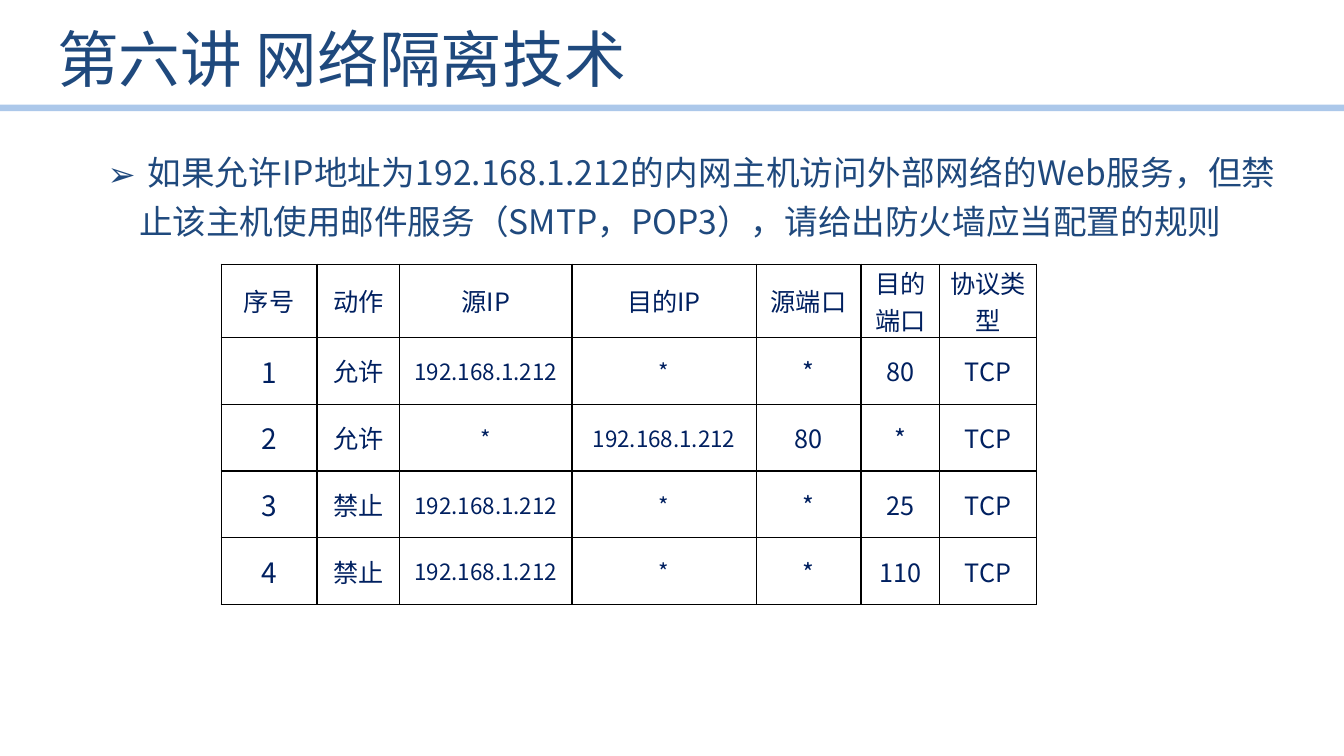
from dataclasses import dataclass

from lxml.etree import SubElement as Sub
from pptx import Presentation
from pptx.dml.color import RGBColor as Rgb
from pptx.enum.shapes import MSO_CONNECTOR as Link
from pptx.enum.text import MSO_ANCHOR as Anchor, PP_ALIGN as Align
from pptx.oxml.ns import qn
from pptx.util import Inches, Length, Pt


@dataclass(frozen=True)
class Theme:
    font: str = "Noto Sans CJK SC"
    ink: str = "1F497D"
    navy: str = "002060"
    rule: str = "8EB4E3"
    grid: str = "000000"
    title: int = 44
    body: int = 24
    head: int = 18
    rule_width: float = 4.75
    grid_width: float = 1


@dataclass(frozen=True)
class Box:
    """A place on the slide's grid of 100 columns by 100 rows."""
    left: float
    top: float
    width: float
    height: float


@dataclass(frozen=True)
class Field:
    """A table column: heading, width in grid columns, type size."""
    head: str
    width: float
    size: int


THEME = Theme()
WIDTH, HEIGHT = Inches(13.33), Inches(7.5)
TITLE = Box(3.53, 1.2, 82.67, 12.93)
BODY = Box(3.53, 18.13, 92.12, 67.6)
RULE_ROW = 14.27
TABLE_LEFT, TABLE_TOP = 16.45, 34.95
HEAD_ROW, DATA_ROW = 9.7, 8.83
FIELDS = [
    Field("序号", 7.13, 20),
    Field("动作", 6.15, 18),
    Field("源IP", 12.83, 16),
    Field("目的IP", 13.7, 16),
    Field("源端口", 7.8, 18),
    Field("目的端口", 5.85, 18),
    Field("协议类型", 7.2, 18),
]
HOST = "192.168.1.212"
RULES = [
    ("1", "允许", HOST, "*", "*", "80", "TCP"),
    ("2", "允许", "*", HOST, "80", "*", "TCP"),
    ("3", "禁止", HOST, "*", "*", "25", "TCP"),
    ("4", "禁止", HOST, "*", "*", "110", "TCP"),
]
TASK = (" 如果允许IP地址为192.168.1.212的内网主机访问外部网络的Web服务，"
        "但禁止该主机使用邮件服务（SMTP，POP3），请给出防火墙应当配置的规则")


def col(n: float) -> Length:
    return Length(round(WIDTH * n / 100))


def row(n: float) -> Length:
    return Length(round(HEIGHT * n / 100))


def write(frame, text: str, *, size: int, color: str, align=Align.LEFT,
          bullet: str = "", spacing: float = 1.0) -> None:
    para = frame.paragraphs[0]
    para.alignment = align
    para.line_spacing = spacing
    if bullet:
        props = para._p.get_or_add_pPr()
        props.set("marL", str(col(6.08)))
        props.set("indent", str(col(-2.33)))
        Sub(props, qn("a:buFont"), typeface=THEME.font)
        Sub(props, qn("a:buChar"), char=bullet)
    run = para.add_run()
    run.text = text
    run.font.size = Pt(size)
    run.font.color.rgb = Rgb.from_string(color)
    run.font.name = THEME.font
    Sub(run._r.get_or_add_rPr(), qn("a:ea"), typeface=THEME.font)


def add_box(slide, box: Box, anchor):
    shape = slide.shapes.add_textbox(col(box.left), row(box.top),
                                     col(box.width), row(box.height))
    frame = shape.text_frame
    frame.word_wrap = True
    frame.vertical_anchor = anchor
    return frame


def add_rule(slide) -> None:
    line = slide.shapes.add_connector(Link.STRAIGHT, 0, row(RULE_ROW),
                                      WIDTH, row(RULE_ROW))
    line.line.width = Pt(THEME.rule_width)
    line.line.color.rgb = Rgb.from_string(THEME.rule)
    tint = line.line._ln.find(".//" + qn("a:srgbClr"))
    Sub(tint, qn("a:alpha"), val="73000")
    Sub(line._element.spPr, qn("a:effectLst"))


def frame_cell(cell) -> None:
    """Draw the four borders of a cell and leave it without fill."""
    props = cell._tc.get_or_add_tcPr()
    for side in "LRTB":
        edge = Sub(props, qn(f"a:ln{side}"), w=str(Pt(THEME.grid_width)))
        Sub(Sub(edge, qn("a:solidFill")), qn("a:srgbClr"), val=THEME.grid)
    cell.fill.background()


def add_rules(slide) -> None:
    """Add the table of firewall rules."""
    heads = tuple(field.head for field in FIELDS)
    lines = [heads, *RULES]
    width = sum(field.width for field in FIELDS)
    height = HEAD_ROW + DATA_ROW * len(RULES)
    table = slide.shapes.add_table(
        len(lines), len(FIELDS), col(TABLE_LEFT), row(TABLE_TOP),
        col(width), row(height)).table
    table.first_row = table.horz_banding = False
    for c, field in enumerate(FIELDS):
        table.columns[c].width = col(field.width)
    for r, line in enumerate(lines):
        table.rows[r].height = row(DATA_ROW if r else HEAD_ROW)
        for c, text in enumerate(line):
            cell = table.cell(r, c)
            cell.margin_left = cell.margin_right = Inches(0.07)
            cell.margin_top = cell.margin_bottom = 0
            cell.vertical_anchor = Anchor.MIDDLE
            frame_cell(cell)
            write(cell.text_frame, text, color=THEME.navy,
                  size=FIELDS[c].size if r else THEME.head,
                  align=Align.CENTER)


def main() -> None:
    deck = Presentation()
    deck.slide_width, deck.slide_height = WIDTH, HEIGHT
    slide = deck.slides.add_slide(deck.slide_layouts[6])
    add_rule(slide)
    write(add_box(slide, TITLE, Anchor.MIDDLE), "第六讲 网络隔离技术",
          size=THEME.title, color=THEME.ink)
    body = add_box(slide, BODY, Anchor.TOP)
    body.margin_top = Inches(0.07)
    write(body, TASK, size=THEME.body, color=THEME.ink,
          align=Align.JUSTIFY, bullet="➢", spacing=1.2)
    add_rules(slide)
    deck.save("out.pptx")


if __name__ == "__main__":
    main()
